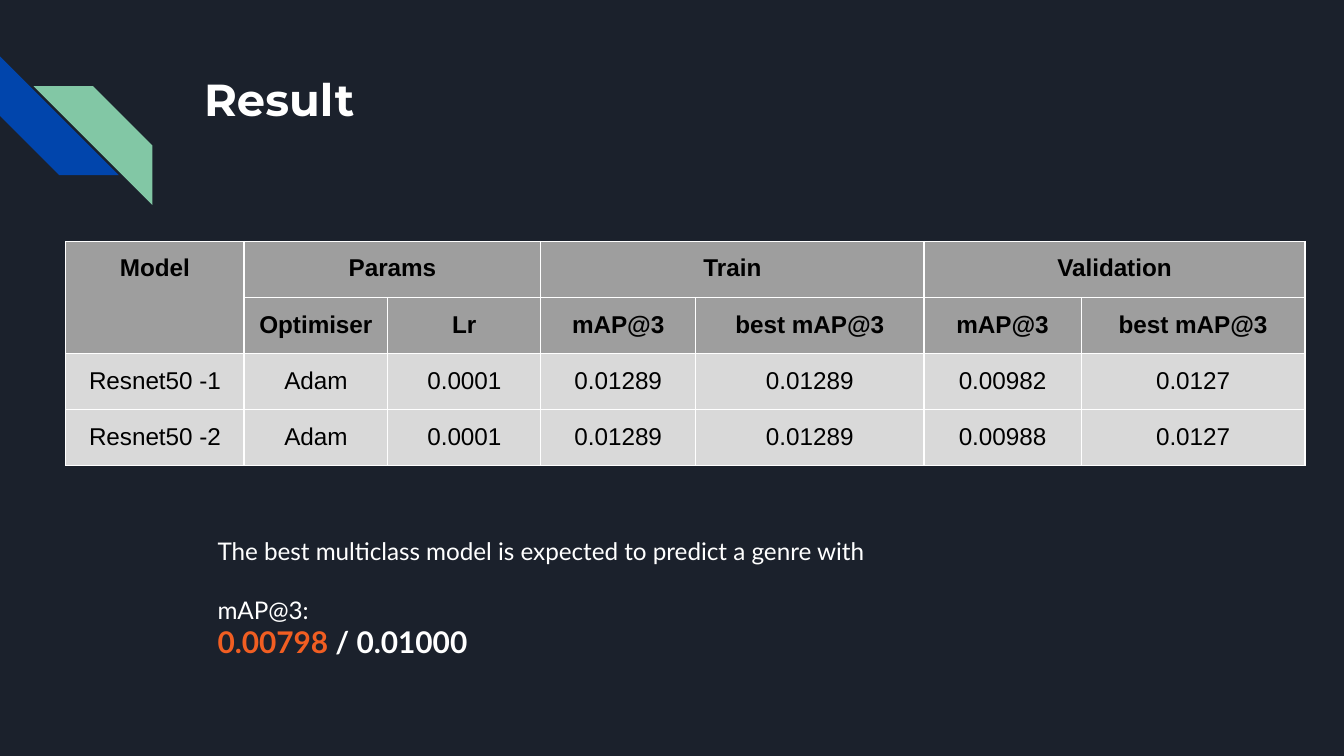
from pptx import Presentation, util as u
from pptx.dml.color import RGBColor
from pptx.enum import shapes, text
from pptx.oxml import parse_xml
from pptx.oxml.ns import nsdecls

deck = Presentation()
deck.slide_width = u.Inches(10)
deck.slide_height = deck.slide_width * 9 // 16
wide, high = deck.slide_width / 100, deck.slide_height / 100
slide = deck.slides.add_slide(deck.slide_layouts[6])


def paint(fill, tint):
    fill.solid()
    fill.fore_color.rgb = RGBColor.from_string(tint)


def style(font, name, size, tint, bold=False):
    font.name, font.size, font.bold = name, u.Pt(size), bold
    font.color.rgb = RGBColor.from_string(tint)


paint(slide.background.fill, "1B212C")

side = 8.84 * wide
for left, top, turn, flip, tint in [(0, 7.45, 270, "0", "0145AC"),
                                    (2.5, 11.4, 0, "1", "82C7A5")]:
    stripe = slide.shapes.add_shape(
        shapes.MSO_SHAPE.DIAGONAL_STRIPE, int(left * wide), int(top * high), int(side), int(side))
    stripe.shadow.inherit = False
    stripe.rotation = turn
    stripe.element.spPr.get_or_add_xfrm().set("flipH", flip)
    paint(stripe.fill, tint)
    stripe.line.fill.background()

frames = []
for left, top, width, height in [(14.2, 7.7, 77, 17.8), (15.2, 69.2, 52.9, 30.8)]:
    box = slide.shapes.add_textbox(
        int(left * wide), int(top * high), int(width * wide), int(height * high))
    frame = box.text_frame
    frame.word_wrap = True
    frame.margin_left = frame.margin_right = u.Inches(0.1)
    frame.margin_top = frame.margin_bottom = u.Inches(0.1)
    frames.append(frame)
title, body = frames

title.text = "Result"
style(title.paragraphs[0].font, "Montserrat", 24, "FFFFFF", True)

body.text = "The best multiclass model is expected to predict a genre with\nmAP@3:"
for line in body.paragraphs:
    style(line.font, "Lato", 13, "FFFFFF")
body.paragraphs[0].space_after = u.Pt(15.6)
score = body.add_paragraph()
for part, tint in [("0.00798", "F15E22"), (" / 0.01000", "FFFFFF")]:
    run = score.add_run()
    run.text = part
    style(run.font, "Lato", 16, tint, True)

rows = [
    ["Model", "Params", "", "Train", "", "Validation", ""],
    ["", "Optimiser", "Lr"] + ["mAP@3", "best mAP@3"] * 2,
    ["Resnet50 -1", "Adam", "0.0001", "0.01289", "0.01289", "0.00982", "0.0127"],
    ["Resnet50 -2", "Adam", "0.0001", "0.01289", "0.01289", "0.00988", "0.0127"],
]
cols = [13.25, 10.7, 11.4, 11.5, 17, 11.7, 16.65]
steps = [7.4, 7.4, 7.35, 7.2]
table = slide.shapes.add_table(
    len(rows), len(cols), int(4.9 * wide), int(31.95 * high),
    int(sum(cols) * wide), int(sum(steps) * high)).table
for col, width in zip(table.columns, cols):
    col.width = int(width * wide)
for r, row in enumerate(rows):
    table.rows[r].height = int(steps[r] * high)
    head = r < 2
    for c, label in enumerate(row):
        cell = table.cell(r, c)
        for edge in ("lnL", "lnR", "lnT", "lnB"):
            cell._tc.get_or_add_tcPr().append(parse_xml(
                f'<a:{edge} {nsdecls("a")} w="9525"><a:solidFill>'
                f'<a:srgbClr val="FFFFFF"/></a:solidFill></a:{edge}>'))
        paint(cell.fill, "9E9E9E" if head else "D9D9D9")
        cell.margin_left = cell.margin_right = u.Inches(0.1)
        cell.margin_top = cell.margin_bottom = u.Inches(0.1)
        cell.text = label
        line = cell.text_frame.paragraphs[0]
        line.alignment = text.PP_ALIGN.CENTER
        style(line.font, "Arial", 13, "000000", head)
table.cell(0, 0).merge(table.cell(1, 0))
for c in (1, 3, 5):
    table.cell(0, c).merge(table.cell(0, c + 1))

deck.save("out.pptx")
